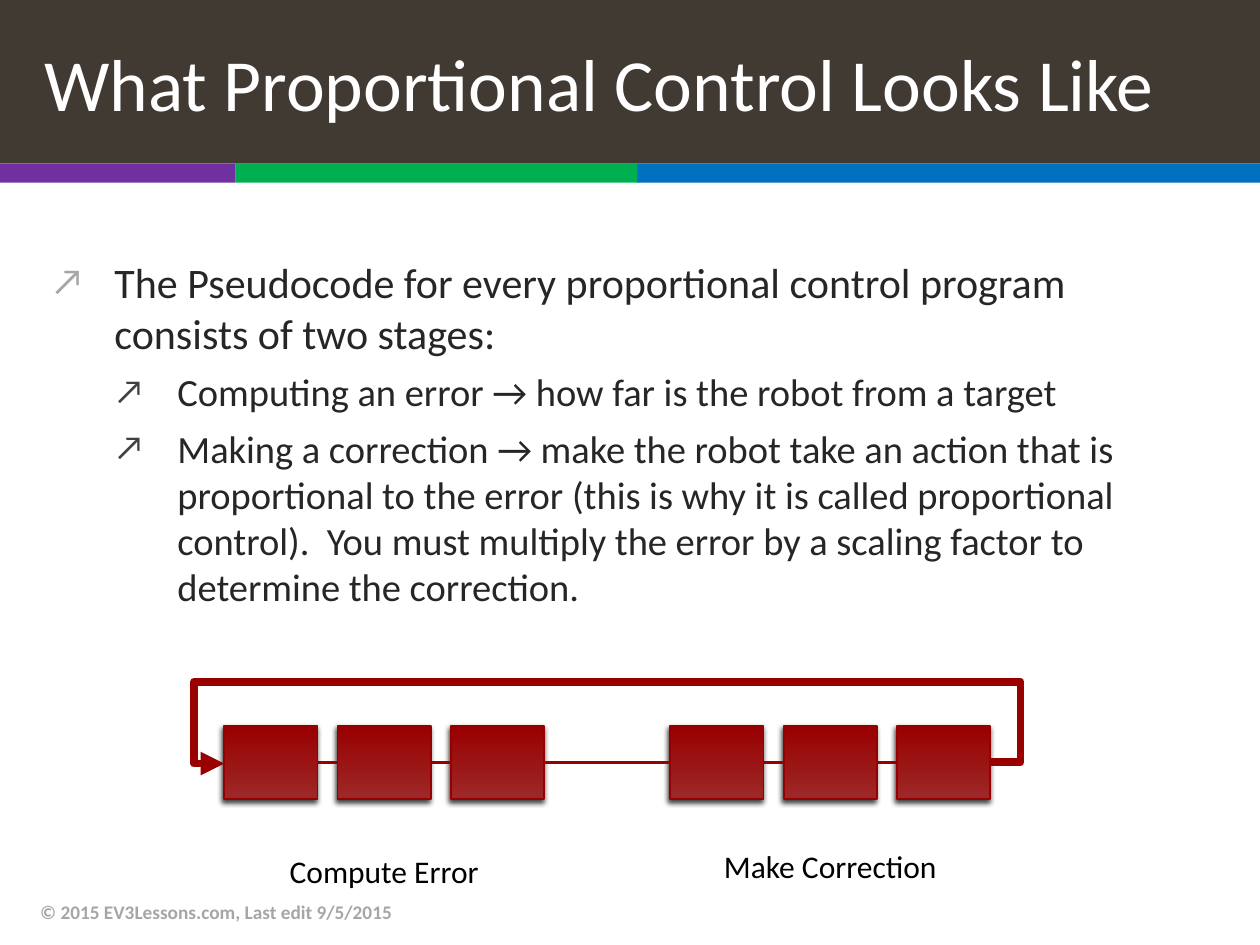
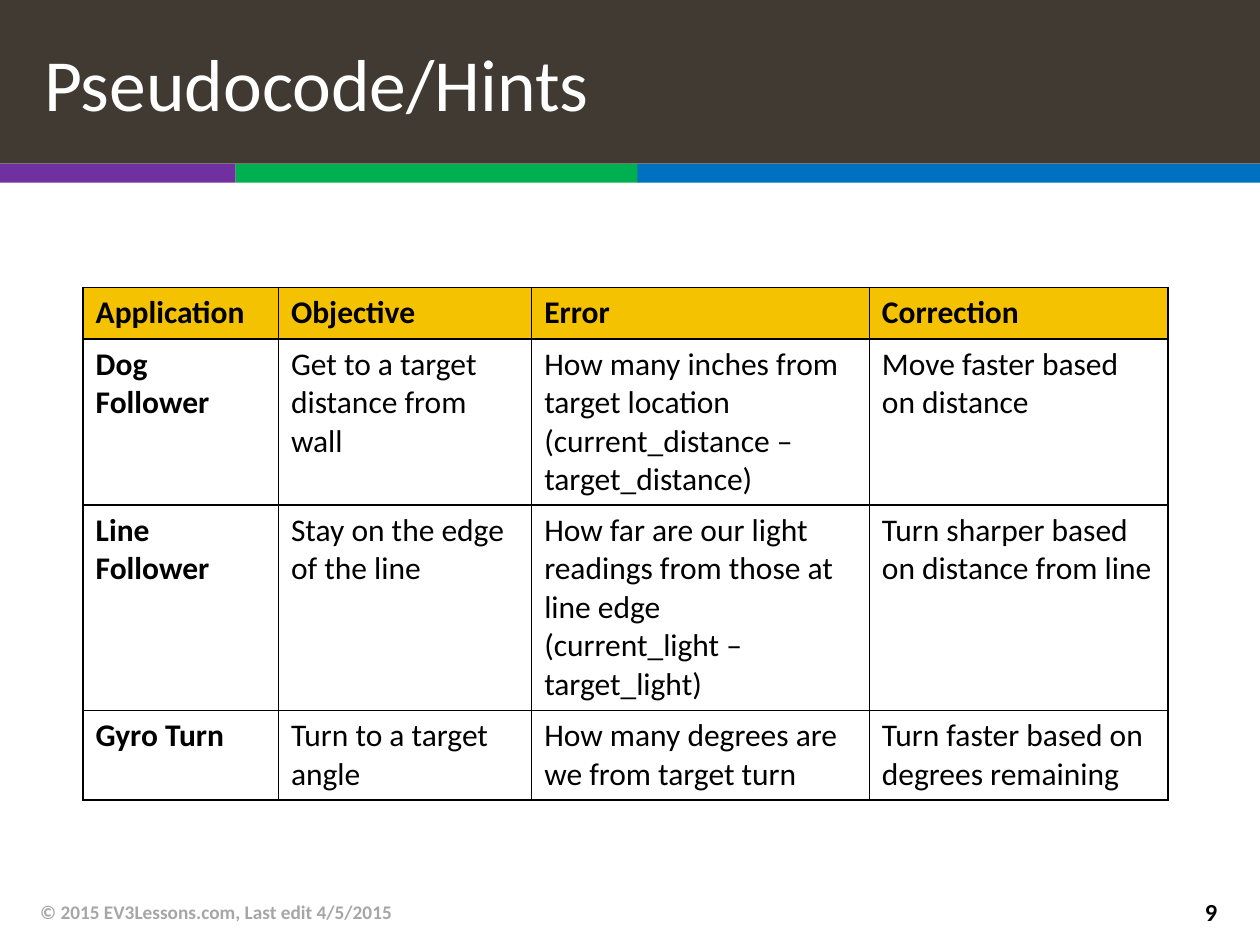
from itertools import pairwise

from lxml import etree
from pptx import Presentation
from pptx.dml.color import RGBColor
from pptx.enum.shapes import MSO_CONNECTOR, MSO_SHAPE
from pptx.enum.text import MSO_ANCHOR, PP_ALIGN
from pptx.oxml.ns import qn
from pptx.util import Inches, Pt

RECT = MSO_SHAPE.RECTANGLE
STRAIGHT = MSO_CONNECTOR.STRAIGHT
MIDDLE, TOP = MSO_ANCHOR.MIDDLE, MSO_ANCHOR.TOP
LEFT, CENTER, RIGHT = PP_ALIGN.LEFT, PP_ALIGN.CENTER, PP_ALIGN.RIGHT

FONT = "Calibri"
WHITE = RGBColor(0xFF, 0xFF, 0xFF)
BLACK = RGBColor(0, 0, 0)
INK = RGBColor(0x26, 0x26, 0x26)
DARK = RGBColor(0x40, 0x40, 0x40)
GRAY = RGBColor(0xA6, 0xA6, 0xA6)
BROWN = RGBColor(0x41, 0x3A, 0x33)
PURPLE = RGBColor(0x70, 0x30, 0xA0)
GREEN = RGBColor(0x00, 0xB0, 0x50)
BLUE = RGBColor(0x00, 0x70, 0xC0)
GOLD = RGBColor(0xF5, 0xC2, 0x01)
RED = RGBColor(0x99, 0x00, 0x00)
ROSE = RGBColor(0x9D, 0x28, 0x28)
EDGE = RGBColor(0x96, 0x00, 0x00)

BANDS = [(0, 1.87, PURPLE), (1.87, 3.2, GREEN), (5.06, 4.94, BLUE)]

POINTS = [
    (0, "The Pseudocode for every proportional control program consists of two stages:"),
    (1, "Computing an error → how far is the robot from a target"),
    (1, "Making a correction → make the robot take an action that is proportional "
        "to the error (this is why it is called proportional control).  You must "
        "multiply the error by a scaling factor to determine the correction."),
]
# Size, bullet colour and space before, by level
LEVELS = [(24, GRAY, 0), (22, DARK, 6)]

STAGES = [("Compute Error", 1.78, 6.71), ("Make Correction", 5.32, 6.67)]
BLOCK_W, BLOCK_H, BLOCK_TOP, STEP = 0.74, 0.58, 5.76, 0.9
MID = BLOCK_TOP + BLOCK_H / 2

COLS = [1.55, 2.01, 2.68, 2.37]
ROWS = [0.41, 1.32, 1.63, 0.71]
HINTS = [
    ["Application", "Objective", "Error", "Correction"],
    ["Dog Follower", "Get to a target distance from wall",
     "How many inches from target location (current_distance – target_distance)",
     "Move faster based on distance"],
    ["Line Follower", "Stay on the edge of the line",
     "How far are our light readings from those at line edge\n"
     "(current_light – target_light)",
     "Turn sharper based on distance from line"],
    ["Gyro Turn", "Turn to a target angle",
     "How many degrees are we from target turn",
     "Turn faster based on degrees remaining"],
]


def add_xml(parent, tag, **attrs):
    return etree.SubElement(parent, qn(tag), {k: str(v) for k, v in attrs.items()})


def write(para, text, size, color, bold=False, align=LEFT):
    """Fill a paragraph with one run per line of text."""
    para.alignment = align
    for i, line in enumerate(text.split("\n")):
        if i:
            para.add_line_break()
        run = para.add_run()
        run.text = line
        font = run.font
        font.name, font.size, font.bold = FONT, Pt(size), bold
        font.color.rgb = color


def add_rect(slide, x, y, w, h, color):
    rect = slide.shapes.add_shape(RECT, Inches(x), Inches(y), Inches(w), Inches(h))
    rect.shadow.inherit = False
    rect.fill.solid()
    rect.fill.fore_color.rgb = color
    rect.line.fill.background()
    return rect


def add_box(slide, x, y, w, h, anchor=TOP):
    box = slide.shapes.add_textbox(Inches(x), Inches(y), Inches(w), Inches(h))
    frame = box.text_frame
    frame.word_wrap = True
    frame.vertical_anchor = anchor
    return frame


def add_page(deck, title, date):
    """Add a slide with the shared title, bands and footer."""
    slide = deck.slides.add_slide(deck.slide_layouts[6])
    for x, w, color in BANDS:
        add_rect(slide, x, 1.3, w, 0.15, color)
    frame = add_rect(slide, 0, 0, 10, 1.3, BROWN).text_frame
    frame.word_wrap = True
    frame.vertical_anchor = MIDDLE
    frame.margin_left = Inches(0.35)
    write(frame.paragraphs[0], title, 42, WHITE)
    foot = add_box(slide, 0.22, 7.04, 6.7, 0.4, MIDDLE)
    write(foot.paragraphs[0], f"© 2015 EV3Lessons.com, Last edit {date}", 11, GRAY, True)
    return slide


def set_bullet(para, level, color):
    props = para._p.get_or_add_pPr()
    props.set("marL", str(Inches(0.5 * (level + 1))))
    props.set("indent", str(Inches(-0.5)))
    add_xml(add_xml(props, "a:buClr"), "a:srgbClr", val=color)
    add_xml(props, "a:buSzPct", val=90000)
    add_xml(props, "a:buFont", typeface=FONT)
    add_xml(props, "a:buChar", char="↗")


def add_points(slide):
    frame = add_box(slide, 0.31, 1.99, 9.38, 3.2)
    for i, (level, text) in enumerate(POINTS):
        para = frame.add_paragraph() if i else frame.paragraphs[0]
        size, color, space = LEVELS[level]
        para.level = level
        set_bullet(para, level, color)
        para.space_before = Pt(space)
        write(para, text, size, INK)


def add_block(slide, x):
    block = add_rect(slide, x, BLOCK_TOP, BLOCK_W, BLOCK_H, RED)
    block.fill.gradient()
    block.fill.gradient_angle = 90
    for stop, color in zip(block.fill.gradient_stops, (ROSE, RED)):
        stop.color.rgb = color
    block.line.color.rgb = EDGE
    block.line.width = Pt(1)
    effects = block._element.spPr.find(qn("a:effectLst"))
    shade = add_xml(effects, "a:outerShdw", blurRad=Pt(3), dist=Pt(2),
                    dir=110 * 60000, rotWithShape=0)
    add_xml(add_xml(shade, "a:srgbClr", val=BLACK), "a:alpha", val=75000)


def add_link(slide, x1, x2):
    link = slide.shapes.add_connector(STRAIGHT, Inches(x1), Inches(MID),
                                      Inches(x2), Inches(MID))
    link.line.color.rgb = RED
    link.line.width = Pt(2)
    add_xml(link._element.spPr, "a:effectLst")


def add_loop(slide, first, last):
    """Draw the arrow that runs from the last block back to the first."""
    right, left, top = last + 0.24, first - 0.24, 5.41
    path = [(last, MID), (right, MID), (right, top),
            (left, top), (left, MID + 0.01), (first, MID + 0.01)]
    start, *rest = [(Inches(x), Inches(y)) for x, y in path]
    draw = slide.shapes.build_freeform(*start)
    draw.add_line_segments(rest, close=False)
    loop = draw.convert_to_shape()
    loop.shadow.inherit = False
    loop.fill.background()
    loop.line.color.rgb = RED
    loop.line.width = Pt(4.5)
    line = loop.line._get_or_add_ln()
    add_xml(line, "a:round")
    add_xml(line, "a:tailEnd", type="triangle")


def add_flow(slide):
    lefts = [x + STEP * i for _, x, _ in STAGES for i in range(3)]
    for x in lefts:
        add_block(slide, x)
    for text, x, y in STAGES:
        label = add_box(slide, x, y, 2.54, 0.4)
        write(label.paragraphs[0], text, 18, BLACK, align=CENTER)
    add_loop(slide, lefts[0], lefts[-1] + BLOCK_W)
    for x, follow in pairwise(lefts):
        add_link(slide, x + BLOCK_W, follow)


def style_cell(cell, head):
    props = cell._tc.get_or_add_tcPr()
    for side in ("a:lnL", "a:lnR", "a:lnT", "a:lnB"):
        line = add_xml(props, side, w=Pt(1))
        add_xml(add_xml(line, "a:solidFill"), "a:srgbClr", val=BLACK)
    if head:
        cell.fill.solid()
        cell.fill.fore_color.rgb = GOLD
    else:
        cell.fill.background()


def add_hints(slide):
    table = slide.shapes.add_table(len(ROWS), len(COLS), Inches(0.66), Inches(2.28),
                                   Inches(sum(COLS)), Inches(sum(ROWS))).table
    for col, w in zip(table.columns, COLS):
        col.width = Inches(w)
    for row, h in zip(table.rows, ROWS):
        row.height = Inches(h)
    for r, texts in enumerate(HINTS):
        for c, text in enumerate(texts):
            cell = table.cell(r, c)
            style_cell(cell, r == 0)
            write(cell.text_frame.paragraphs[0], text, 18, BLACK, r == 0 or c == 0)


def main():
    deck = Presentation()
    deck.slide_width, deck.slide_height = Inches(10), Inches(7.5)

    slide = add_page(deck, "What Proportional Control Looks Like", "9/5/2015")
    add_points(slide)
    add_flow(slide)

    slide = add_page(deck, "Pseudocode/Hints", "4/5/2015")
    add_hints(slide)
    number = add_box(slide, 9.07, 7.04, 0.69, 0.39, MIDDLE)
    write(number.paragraphs[0], "9", 14, BLACK, True, RIGHT)

    deck.save("out.pptx")


if __name__ == "__main__":
    main()
